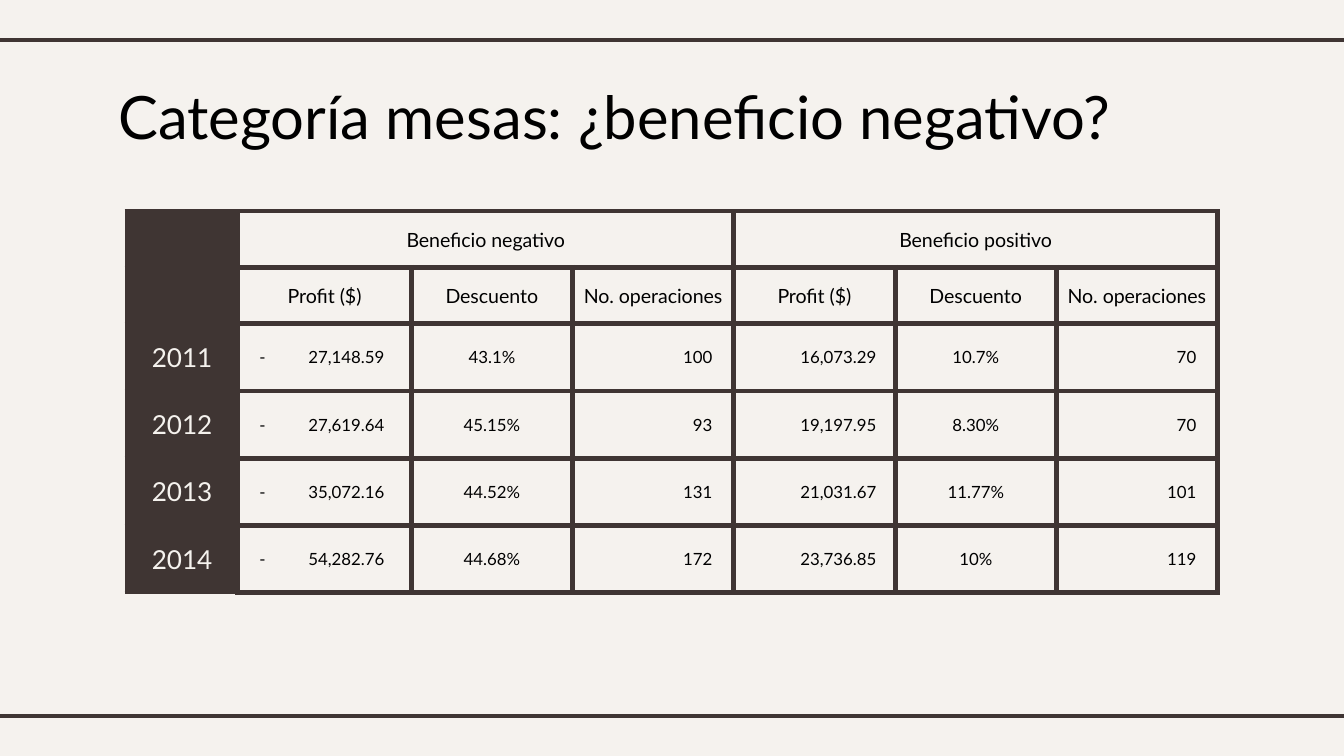
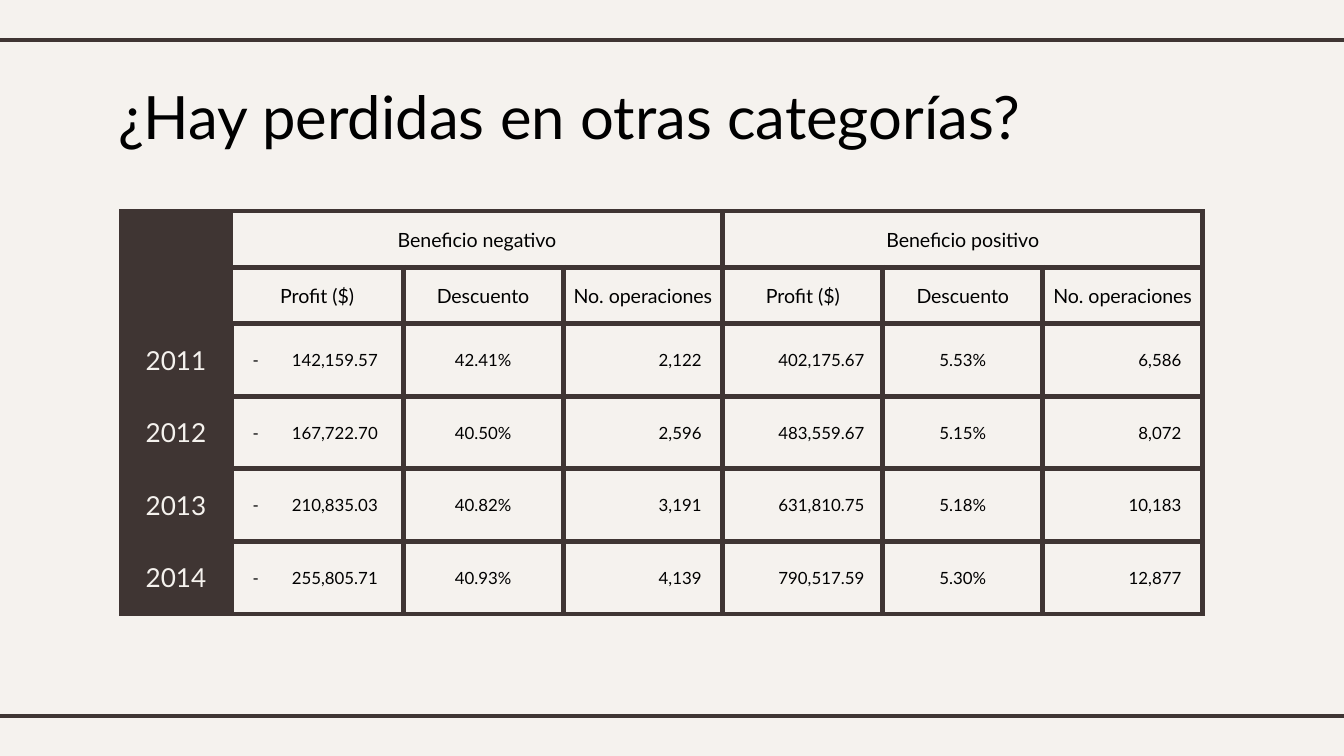
from lxml import etree
from pptx import Presentation
from pptx.dml.color import RGBColor
from pptx.enum.shapes import MSO_CONNECTOR
from pptx.enum.text import MSO_ANCHOR, MSO_AUTO_SIZE, PP_ALIGN
from pptx.oxml.ns import qn
from pptx.util import Inches, Pt

LEFT, CENTER, RIGHT = PP_ALIGN.LEFT, PP_ALIGN.CENTER, PP_ALIGN.RIGHT
TOP, MIDDLE = MSO_ANCHOR.TOP, MSO_ANCHOR.MIDDLE
STRAIGHT = MSO_CONNECTOR.STRAIGHT
NO_FIT = MSO_AUTO_SIZE.NONE

GROUPS = ["Beneficio negativo", "Beneficio positivo"]
MEASURES = ["Profit ($)", "Descuento", "No. operaciones"]
YEARS = ["2011", "2012", "2013", "2014"]
PAGES = [
    {
        "title": "Categoría mesas: ¿beneficio negativo?",
        "left": 0.94, "columns": (0.83, 1.29, 1.2), "data_row": 0.5,
        "values": [
            ("-\t27,148.59", "43.1%", "100", "16,073.29", "10.7%", "70"),
            ("-\t27,619.64", "45.15%", "93", "19,197.95", "8.30%", "70"),
            ("-\t35,072.16", "44.52%", "131", "21,031.67", "11.77%", "101"),
            ("-\t54,282.76", "44.68%", "172", "23,736.85", "10%", "119"),
        ],
    },
    {
        "title": "¿Hay perdidas en otras categorías?",
        "left": 0.9, "columns": (0.82, 1.28, 1.19), "data_row": 0.54,
        "values": [
            ("-\t142,159.57", "42.41%", "2,122", "402,175.67", "5.53%", "6,586"),
            ("-\t167,722.70", "40.50%", "2,596", "483,559.67", "5.15%", "8,072"),
            ("-\t210,835.03", "40.82%", "3,191", "631,810.75", "5.18%", "10,183"),
            ("-\t255,805.71", "40.93%", "4,139", "790,517.59", "5.30%", "12,877"),
        ],
    },
]

COLORS = {"paper": "F5F2EE", "dark": "3F3533", "text": "000000"}
FONT = "Lato"
WIDTH = 10
HEIGHT = WIDTH * 9 / 16
RULES = (0.3, 5.33)
OVERHANG = 0.08
TITLE_BOX = (0.78, 0.49, 8.44, 0.63)
TABLE_TOP = 1.57
HEADING_ROW = 0.42
THIN, THICK = 2.25, 3
MINUS_TAB = 0.93
VALUE_STYLES = [(LEFT, 0.16, 0.1), (CENTER, 0.01, 0.01), (RIGHT, 0.01, 0.16),
                (RIGHT, 0.01, 0.14), (CENTER, 0.01, 0.01), (RIGHT, 0.01, 0.16)]


def rgb(name):
    return RGBColor.from_string(COLORS[name])


def write(para, text, size, color, align):
    para.alignment = align
    span = para.add_run()
    span.text = text
    span.font.name = FONT
    span.font.size = Pt(size)
    span.font.bold = False
    span.font.color.rgb = rgb(color)


def set_margins(target, left, top, right, bottom):
    target.margin_left, target.margin_top = Inches(left), Inches(top)
    target.margin_right, target.margin_bottom = Inches(right), Inches(bottom)


def set_borders(cell, row, column):
    props = cell._tc.get_or_add_tcPr()
    in_year_column = column == 0
    widths = {
        "L": THIN if column <= 1 and row < 2 or in_year_column else THICK,
        "R": THIN if in_year_column and row < 2 else THICK,
        "T": THIN if in_year_column or row == 0 else THICK,
        "B": THIN if in_year_column else THICK,
    }
    for side, width in widths.items():
        line = etree.SubElement(props, qn("a:ln" + side), w=str(Pt(width)))
        fill = etree.SubElement(line, qn("a:solidFill"))
        etree.SubElement(fill, qn("a:srgbClr"), val=COLORS["dark"])


def set_fill(cell, color):
    if color:
        cell.fill.solid()
        cell.fill.fore_color.rgb = rgb(color)
    else:
        cell.fill.background()


def add_minus_tab(para):
    tabs = etree.SubElement(para._p.get_or_add_pPr(), qn("a:tabLst"))
    etree.SubElement(tabs, qn("a:tab"), pos=str(Inches(MINUS_TAB)), algn="r")


def fill_year_cell(cell, row):
    set_fill(cell, "dark")
    if row < 2:
        set_margins(cell, 0, 0, 0, 0)
        return
    set_margins(cell, 0.1, 0.1, 0.1, 0.1)
    write(cell.text_frame.paragraphs[0], YEARS[row - 2], 14, "paper", CENTER)


def fill_heading_cell(cell, row, column):
    set_fill(cell, None)
    set_margins(cell, 0.01, 0.01, 0.01, 0)
    group, measure = divmod(column - 1, len(MEASURES))
    if row == 1 or measure == 0:
        text = MEASURES[measure] if row else GROUPS[group]
        write(cell.text_frame.paragraphs[0], text, 10.5, "text", CENTER)


def fill_value_cell(cell, text, style):
    align, left, right = style
    set_fill(cell, "paper")
    set_margins(cell, left, 0.04, right, 0.04)
    para = cell.text_frame.paragraphs[0]
    write(para, text, 9, "text", align)
    if "\t" in text:
        add_minus_tab(para)


def add_profit_table(page, content):
    year_width, first_width, other_width = content["columns"]
    count = len(GROUPS) * len(MEASURES)
    widths = [year_width, first_width] + [other_width] * (count - 1)
    heights = [HEADING_ROW] * 2 + [content["data_row"]] * len(YEARS)
    table = page.shapes.add_table(
        len(heights), len(widths), Inches(content["left"]), Inches(TABLE_TOP),
        Inches(sum(widths)), Inches(sum(heights))).table
    table.first_row = table.horz_banding = False
    for column, width in zip(table.columns, widths):
        column.width = Inches(width)
    for row, height in zip(table.rows, heights):
        row.height = Inches(height)
    for start in range(1, count + 1, len(MEASURES)):
        table.cell(0, start).merge(table.cell(0, start + len(MEASURES) - 1))
    for row in range(len(heights)):
        for column in range(len(widths)):
            cell = table.cell(row, column)
            cell.vertical_anchor = MIDDLE
            set_borders(cell, row, column)
            if column == 0:
                fill_year_cell(cell, row)
            elif row < 2:
                fill_heading_cell(cell, row, column)
            else:
                fill_value_cell(cell, content["values"][row - 2][column - 1],
                                VALUE_STYLES[column - 1])


def add_title(page, text):
    title = page.shapes.title
    title.left, title.top, title.width, title.height = map(Inches, TITLE_BOX)
    frame = title.text_frame
    frame.word_wrap = True
    frame.auto_size = NO_FIT
    frame.vertical_anchor = TOP
    set_margins(frame, 0.1, 0.1, 0.1, 0.1)
    write(frame.paragraphs[0], text, 32, "text", LEFT)


def style_master(master, page):
    master.background.fill.solid()
    master.background.fill.fore_color.rgb = rgb("paper")
    for y in RULES:
        rule = page.shapes.add_connector(
            STRAIGHT, Inches(-OVERHANG), Inches(y), Inches(WIDTH + OVERHANG), Inches(y))
        rule.line.color.rgb = rgb("dark")
        rule.line.width = Pt(THIN)
        etree.SubElement(rule._element.spPr, qn("a:effectLst"))
        master.shapes.element.append(rule._element)


def main():
    deck = Presentation()
    deck.slide_width, deck.slide_height = Inches(WIDTH), Inches(HEIGHT)
    title_only = deck.slide_layouts[5]
    for content in PAGES:
        page = deck.slides.add_slide(title_only)
        add_title(page, content["title"])
        add_profit_table(page, content)
    style_master(deck.slide_master, deck.slides[0])
    deck.save("out.pptx")


if __name__ == "__main__":
    main()
